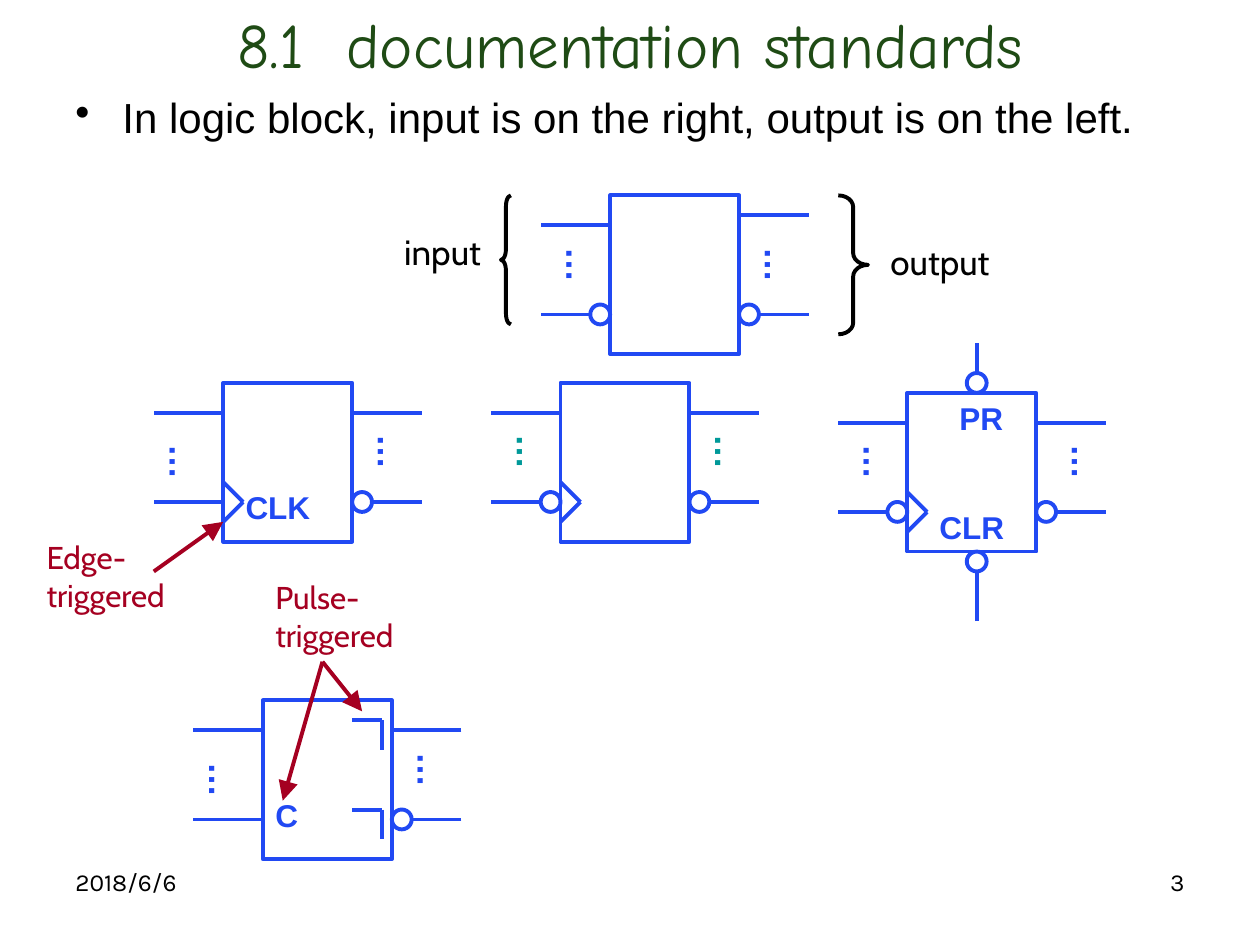
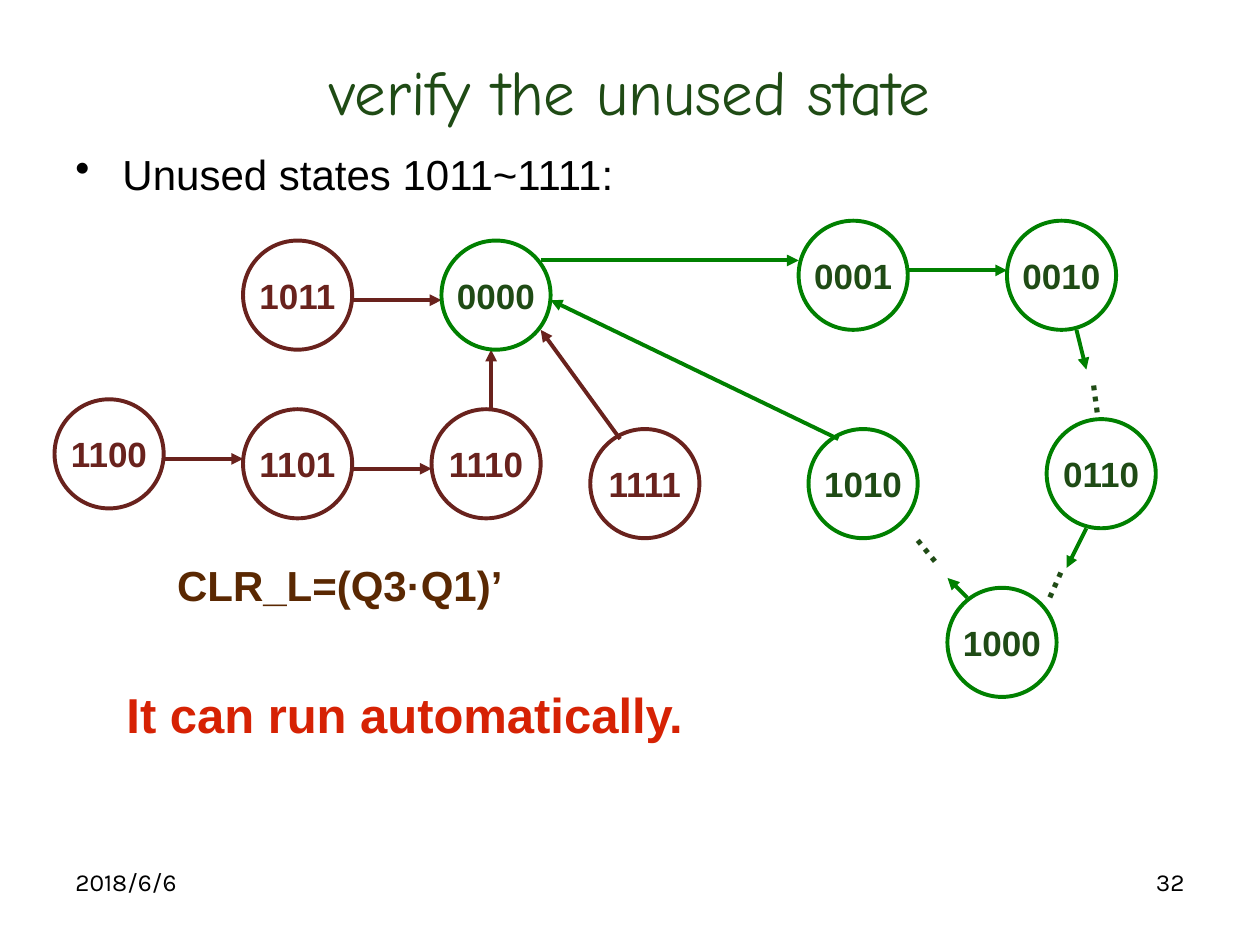
from lxml import etree
from pptx import Presentation
from pptx.dml.color import RGBColor
from pptx.enum.shapes import MSO_CONNECTOR, MSO_SHAPE
from pptx.enum.text import MSO_ANCHOR, MSO_AUTO_SIZE, PP_ALIGN
from pptx.oxml.ns import qn
from pptx.util import Cm, Pt

STRAIGHT = MSO_CONNECTOR.STRAIGHT
RECT, OVAL = MSO_SHAPE.RECTANGLE, MSO_SHAPE.OVAL
LEFT_BRACE, RIGHT_BRACE = MSO_SHAPE.LEFT_BRACE, MSO_SHAPE.RIGHT_BRACE
LEFT, CENTER, RIGHT = PP_ALIGN.LEFT, PP_ALIGN.CENTER, PP_ALIGN.RIGHT
TOP, MIDDLE = MSO_ANCHOR.TOP, MSO_ANCHOR.MIDDLE
GROW = MSO_AUTO_SIZE.SHAPE_TO_FIT_TEXT

BLACK, BLUE, TEAL, CRIMSON = "000000", "2149F3", "009999", "A50021"
DARK_GREEN, GREEN, MAROON, RED, BROWN = "1F4B15", "008000", "69221D", "D62204", "5A2802"

MARGIN, CONTENT_W = 1.27, 22.86
DATE = "2018/6/6"
FOOTER_TOP, FOOTER_W, FOOTER_H = 17.35, 5.92, 1.32

BLOCK_W, BLOCK_H = 2.6, 3.2
LEAD, BUBBLE = 1.4, 0.4
LEAD_TOP, LEAD_LOW = 0.6, 2.4
DOTS_W, DOTS_H = 1.35, 1.2

BLOCKS = [
    dict(at=(12.3, 3.94), in_bubble=True, out_top=0.4),
    dict(at=(4.5, 7.72), dots_in=(-1.6, 1.0), clock=True),
    dict(at=(18.29, 7.92), in_bubble=True, dots_out=(2.8, 0.8), clock=True, preset_clear=True,
         labels=[("PR", 0.8, 0, 1.6), ("CLR", 0.4, 2.2, 2.0)]),
    dict(at=(11.3, 7.72), in_bubble=True, clock=True, dots_color=TEAL),
    dict(at=(5.3, 14.12), dots_in=(-1.6, 1.0), pulse=True, labels=[("C", 0, 1.8, 1.2)]),
]
BRACES = [
    (LEFT_BRACE, (10.1, 3.94, 0.2, 2.6), 1.09),
    (RIGHT_BRACE, (16.9, 3.94, 0.6, 2.8), 0.39),
]
BLOCK_NOTES = [
    ("input", (7.9, 4.52, 2.2, 1.09), dict(size=20, font="Cabin")),
    ("output", (17.7, 4.72, 3.58, 1.09), dict(size=20, font="Cabin")),
    ("Edge-triggered", (0.69, 10.72, 3.0, 1.78), dict(size=18, font="Cabin", color=CRIMSON)),
    ("Pulse-triggered", (5.3, 11.53, 3.6, 1.78), dict(size=18, font="Cabin", color=CRIMSON)),
    ("CLK", (4.7, 9.72, 2.0, 1.02), dict(size=18, bold=True, color=BLUE)),
]
TRIGGER_ARROWS = [
    ((3.1, 11.52), (4.5, 10.52)),
    ((6.5, 13.34), (5.7, 16.14)),
    ((6.5, 13.34), (7.3, 14.34)),
]

STATE_D = 2.2
UNUSED_STATES = {
    "1011": (4.9, 4.85), "1100": (1.1, 8.05), "1101": (4.9, 8.25),
    "1110": (8.7, 8.25), "1111": (11.9, 8.65),
}
USED_STATES = {
    "0000": (8.9, 4.85), "0001": (16.1, 4.45), "0010": (20.3, 4.45),
    "0110": (21.1, 8.45), "1010": (16.3, 8.65), "1000": (19.1, 11.85),
}
UNUSED_STEPS = [
    ((7.1, 6.05), (8.9, 6.05)),
    ((3.3, 9.25), (4.9, 9.25)),
    ((7.1, 9.45), (8.7, 9.45)),
    ((9.9, 8.25), (9.9, 7.05)),
    ((12.5, 8.85), (10.9, 6.65)),
]
USED_STEPS = [
    ((10.9, 5.25), (16.1, 5.25)),
    ((18.3, 5.45), (20.3, 5.45)),
    ((21.7, 6.65), (21.9, 7.45)),
    ((21.9, 10.65), (21.5, 11.45)),
    ((19.5, 12.05), (19.1, 11.65)),
    ((16.9, 8.85), (11.1, 6.05)),
]
SKIPPED_STATES = [(21.51, 7.44, 352.4), (20.7, 11.25, 23.9), (18.08, 10.44, 320.8)]
STATE_NOTES = [
    ("It can run automatically.", (2.3, 13.67, 13.13, 1.45), dict(size=28, bold=True, color=RED)),
    ("CLR_L=(Q3·Q1)’", (3.32, 11.15, 9.4, 1.27), dict(size=24, bold=True, color=BROWN)),
]


def rgb(color):
    return RGBColor.from_string(color)


def write(tf, text, size=20, font="Arial", color=BLACK, bold=False, align=LEFT,
          anchor=TOP, wrap=True, bullet=False):
    tf.word_wrap = wrap
    tf.vertical_anchor = anchor
    p = tf.paragraphs[0]
    p.alignment = align
    if bullet:
        pPr = p._p.get_or_add_pPr()
        pPr.set("marL", str(Cm(0.95)))
        pPr.set("indent", str(Cm(-0.95)))
        etree.SubElement(pPr, qn("a:buChar")).set("char", "•")
    r = p.add_run()
    r.text = text
    r.font.size, r.font.name, r.font.bold = Pt(size), font, bold
    r.font.color.rgb = rgb(color)


def add_text(shapes, text, box, grow=False, **fmt):
    sp = shapes.add_textbox(*map(Cm, box))
    write(sp.text_frame, text, **fmt)
    if grow:
        sp.text_frame.auto_size = GROW
    return sp


def add_outline(shapes, kind, box, color):
    sp = shapes.add_shape(kind, *map(Cm, box))
    sp.shadow.inherit = False
    sp.fill.background()
    sp.line.color.rgb = rgb(color)
    sp.line.width = Pt(2.25)
    return sp


def add_line(shapes, start, end, color, head=None):
    c = shapes.add_connector(STRAIGHT, *map(Cm, (*start, *end)))
    c.line.color.rgb = rgb(color)
    c.line.width = Pt(2.25)
    if head:
        tail = etree.SubElement(c.line._get_or_add_ln(), qn("a:tailEnd"))
        for key, value in (("type", "triangle"), ("w", head), ("len", head)):
            tail.set(key, value)
    etree.SubElement(c._element.spPr, qn("a:effectLst"))


def add_dots(shapes, x, y, color, rotation=0):
    sp = add_text(shapes, "…", (x, y, DOTS_W, DOTS_H), grow=True, color=color, bold=True)
    sp.text_frame._txBody.bodyPr.set("vert", "eaVert")
    sp.rotation = rotation


def add_block(s, at, in_bubble=False, out_top=LEAD_TOP, dots_in=(-1.4, 0.8), dots_out=(2.6, 0.8),
              dots_color=BLUE, clock=False, pulse=False, preset_clear=False, labels=()):
    shapes = s.shapes.add_group_shape().shapes
    left, top = at

    def path_through(*points):
        placed = [(left + x, top + y) for x, y in points]
        for start, end in zip(placed, placed[1:]):
            add_line(shapes, start, end, BLUE)

    def bubble(x, y):
        add_outline(shapes, OVAL, (left + x, top + y, BUBBLE, BUBBLE), BLUE)

    add_outline(shapes, RECT, (left, top, BLOCK_W, BLOCK_H), BLUE)
    path_through((0, LEAD_TOP), (-LEAD, LEAD_TOP))
    path_through((-BUBBLE if in_bubble else 0, LEAD_LOW), (-LEAD, LEAD_LOW))
    path_through((BLOCK_W + LEAD, LEAD_LOW), (BLOCK_W + BUBBLE, LEAD_LOW))
    path_through((BLOCK_W + LEAD, out_top), (BLOCK_W, out_top))
    if in_bubble:
        bubble(-BUBBLE, LEAD_LOW - BUBBLE / 2)
    bubble(BLOCK_W, LEAD_LOW - BUBBLE / 2)
    for x, y in (dots_in, dots_out):
        add_dots(shapes, left + x, top + y, dots_color)
    if clock:
        path_through((0, 2.0), (0.4, LEAD_LOW), (0, 2.8))
    if pulse:
        for y in (0.4, 2.2):
            path_through((1.8, y), (2.4, y), (2.4, y + 0.6))
    if preset_clear:
        path_through((1.4, -1.0), (1.4, -BUBBLE))
        path_through((1.4, BLOCK_H + LEAD), (1.4, BLOCK_H + BUBBLE))
        bubble(1.2, -BUBBLE)
        bubble(1.2, BLOCK_H)
    for text, x, y, w in labels:
        add_text(shapes, text, (left + x, top + y, w, 1.02), grow=True,
                 size=18, bold=True, color=BLUE)


def add_page(prs, number, title, title_span, body, body_span):
    s = prs.slides.add_slide(prs.slide_layouts[6])
    footer = dict(size=14, font="Karla")
    add_text(s.shapes, DATE, (MARGIN, FOOTER_TOP, FOOTER_W, FOOTER_H), **footer)
    add_text(s.shapes, number, (MARGIN + CONTENT_W - FOOTER_W, FOOTER_TOP, FOOTER_W, FOOTER_H),
             align=RIGHT, **footer)
    for text, (top, height), fmt in (
        (title, title_span, dict(size=36, font="Comic Neue", color=DARK_GREEN,
                                 align=CENTER, anchor=MIDDLE)),
        (body, body_span, dict(size=24, bullet=True)),
    ):
        add_text(s.shapes, text, (MARGIN, top, CONTENT_W, height), **fmt)
    return s


def build_standards(prs):
    s = add_page(prs, "3", "8.1  documentation standards", (0, 1.75),
                 "In logic block, input is on the right, output is on the left.", (1.73, 1.4))
    for kind, box, curl in BRACES:
        add_outline(s.shapes, kind, box, BLACK).adjustments[0] = curl
    for block in BLOCKS:
        add_block(s, **block)
    for text, box, fmt in BLOCK_NOTES:
        add_text(s.shapes, text, box, grow=True, **fmt)
    for start, end in TRIGGER_ARROWS:
        add_line(s.shapes, start, end, CRIMSON, head="lg")


def build_states(prs):
    s = add_page(prs, "32", "verify the unused state", (0.76, 2.13),
                 "Unused states 1011~1111:", (2.87, 14.15))
    for states, steps, color, text_color in (
        (UNUSED_STATES, UNUSED_STEPS, MAROON, MAROON),
        (USED_STATES, USED_STEPS, GREEN, DARK_GREEN),
    ):
        for state, (x, y) in states.items():
            sp = add_outline(s.shapes, OVAL, (x, y, STATE_D, STATE_D), color)
            write(sp.text_frame, state, color=text_color, bold=True,
                  align=CENTER, anchor=MIDDLE, wrap=False)
        for start, end in steps:
            add_line(s.shapes, start, end, color, head="med")
    for x, y, rotation in SKIPPED_STATES:
        add_dots(s.shapes, x, y, DARK_GREEN, rotation)
    for text, box, fmt in STATE_NOTES:
        add_text(s.shapes, text, box, grow=True, **fmt)


def main():
    prs = Presentation()
    prs.slide_width, prs.slide_height = Cm(25.4), Cm(19.05)
    build_standards(prs)
    build_states(prs)
    prs.save("out.pptx")


if __name__ == "__main__":
    main()
